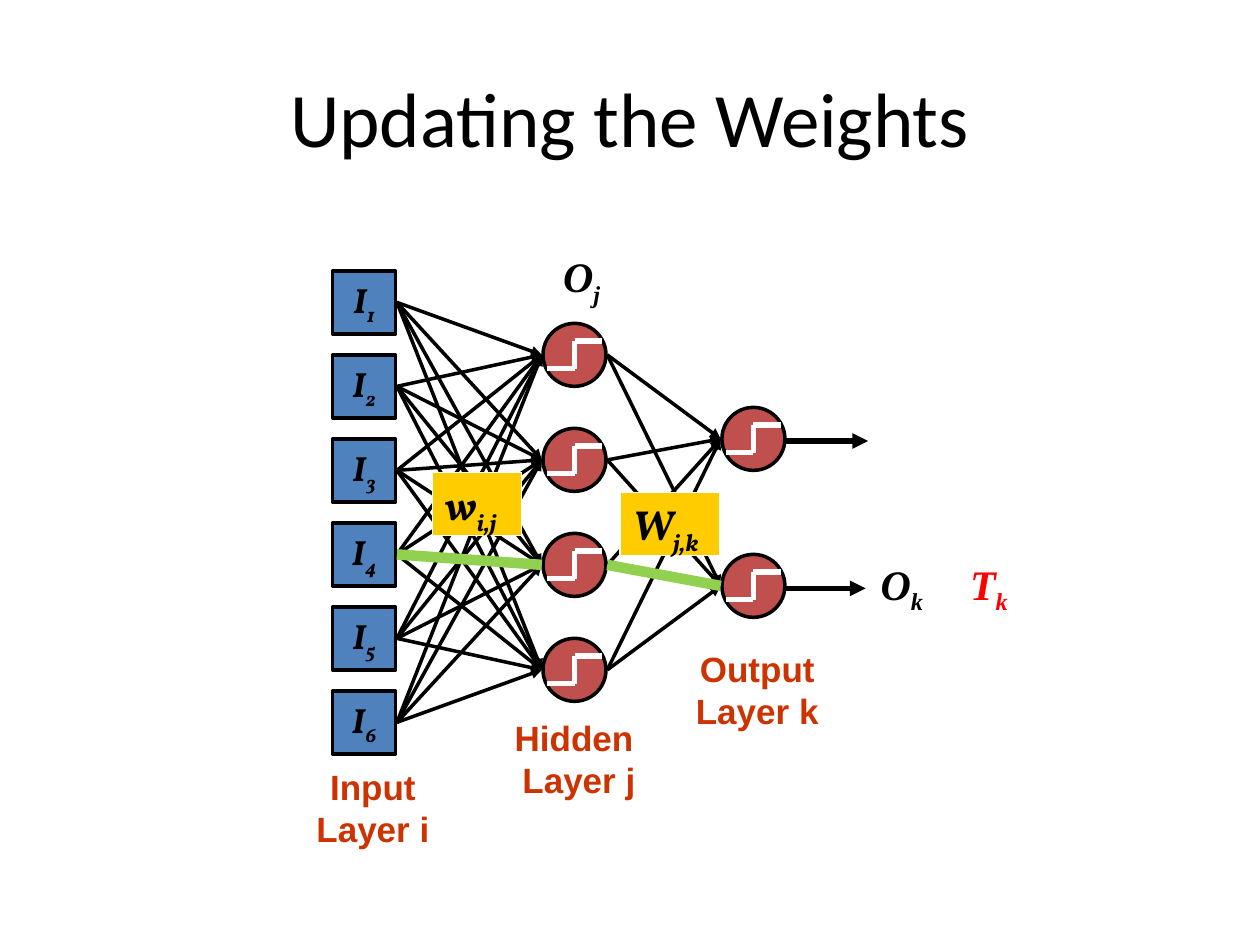
from dataclasses import dataclass
from itertools import product

from lxml import etree
from pptx import Presentation
from pptx.dml.color import RGBColor
from pptx.enum.shapes import MSO_CONNECTOR, MSO_SHAPE
from pptx.enum.text import MSO_ANCHOR, MSO_AUTO_SIZE, PP_ALIGN
from pptx.oxml.ns import qn
from pptx.util import Inches, Pt

STRAIGHT = MSO_CONNECTOR.STRAIGHT
RECTANGLE, OVAL = MSO_SHAPE.RECTANGLE, MSO_SHAPE.OVAL
CENTER, LEFT = PP_ALIGN.CENTER, PP_ALIGN.LEFT
MIDDLE, TOP = MSO_ANCHOR.MIDDLE, MSO_ANCHOR.TOP
GROW, FIXED = MSO_AUTO_SIZE.SHAPE_TO_FIT_TEXT, MSO_AUTO_SIZE.NONE


@dataclass(frozen=True)
class Theme:
    black: str = "000000"
    white: str = "FFFFFF"
    input_fill: str = "4F81BD"
    neuron_fill: str = "C0504D"
    weight_fill: str = "FFCC00"
    highlight: str = "92D050"
    caption: str = "CC3300"
    target: str = "FF0000"
    title_font: str = "Calibri"
    caption_font: str = "Arial"
    node_font: str = "Vollkorn"
    output_font: str = "Times New Roman"
    title_size: int = 44
    symbol_size: int = 24
    small_size: int = 20


@dataclass(frozen=True)
class Layer:
    """A column of nodes; first and step count grid rows."""
    center_x: float
    first: float
    step: float
    count: int

    def center_y(self, index: int) -> float:
        return GRID_TOP + (self.first + index * self.step) * ROW

    def centers(self) -> list[float]:
        return [self.center_y(index) for index in range(self.count)]


@dataclass(frozen=True)
class Box:
    left: float
    top: float
    width: float
    height: float

    def lengths(self) -> list[int]:
        return [Inches(n) for n in (self.left, self.top, self.width, self.height)]


@dataclass(frozen=True)
class Symbol:
    base: str
    subscript: str
    font: str
    size: int
    color: str = "000000"


THEME = Theme()
GRID_TOP, ROW = 2.4, 1 / 6
NODE = 0.5
GAP = 0.26  # from a node's center to the end of its links
INPUT = Layer(2.89, 0, 4, 6)
HIDDEN = Layer(4.56, 2.5, 5, 4)
OUTPUT = Layer(5.98, 6.5, 7, 2)


def rgb(color: str) -> RGBColor:
    return RGBColor.from_string(color)


def draw_line(shapes, start: tuple, end: tuple, color: str, width: float,
              arrow: bool = False) -> None:
    line = shapes.add_connector(STRAIGHT, *map(Inches, (*start, *end)))
    line.line.color.rgb = rgb(color)
    line.line.width = Pt(width)
    properties = line._element.spPr
    if arrow:
        etree.SubElement(properties.find(qn("a:ln")), qn("a:tailEnd"), type="triangle")
    etree.SubElement(properties, qn("a:effectLst"))


def draw_shape(shapes, kind, box: Box, fill: str, line: str, width: float):
    shape = shapes.add_shape(kind, *box.lengths())
    shape.shadow.inherit = False
    shape.fill.solid()
    shape.fill.fore_color.rgb = rgb(fill)
    shape.line.color.rgb = rgb(line)
    shape.line.width = Pt(width)
    return shape


def node_box(layer: Layer, center_y: float) -> Box:
    return Box(layer.center_x - NODE / 2, center_y - NODE / 2, NODE, NODE)


def write_symbol(shape, symbol: Symbol, align=LEFT, anchor=TOP, wrap=False,
                 fit=GROW) -> None:
    frame = shape.text_frame
    frame.word_wrap, frame.auto_size, frame.vertical_anchor = wrap, fit, anchor
    paragraph = frame.paragraphs[0]
    paragraph.alignment = align
    font = paragraph.font
    font.name, font.size = symbol.font, Pt(symbol.size)
    font.bold = font.italic = True
    font.color.rgb = rgb(symbol.color)
    paragraph.add_run().text = symbol.base
    subscript = paragraph.add_run()
    subscript.text = symbol.subscript
    subscript._r.get_or_add_rPr().set("baseline", "-25000")


def draw_neuron(slide, layer: Layer, center_y: float) -> None:
    group = slide.shapes.add_group_shape()
    draw_shape(group.shapes, OVAL, node_box(layer, center_y),
               THEME.neuron_fill, THEME.black, 2)
    # Step function
    x, low, high = layer.center_x, center_y + 0.11, center_y - 0.11
    points = [(x - 0.22, low), (x, low), (x, high), (x + 0.22, high)]
    for start, end in zip(points, points[1:]):
        draw_line(group.shapes, start, end, THEME.white, 3)


def draw_link(slide, source: Layer, start_y: float, target: Layer, end_y: float,
              color: str, width: float, arrow: bool) -> None:
    draw_line(slide.shapes, (source.center_x + GAP, start_y),
              (target.center_x - GAP, end_y), color, width, arrow)


def draw_caption(slide, box: Box, lines: tuple[str, str]) -> None:
    frame = slide.shapes.add_textbox(*box.lengths()).text_frame
    frame.word_wrap, frame.auto_size = False, GROW
    for index, text in enumerate(lines):
        paragraph = frame.add_paragraph() if index else frame.paragraphs[0]
        paragraph.text, paragraph.alignment = text, CENTER
        font = paragraph.font
        font.name, font.size, font.bold = THEME.caption_font, Pt(THEME.small_size), True
        font.color.rgb = rgb(THEME.caption)


def draw_title(slide, text: str) -> None:
    title = slide.shapes.title
    title.left, title.top, title.width, title.height = Box(0.5, 0.3, 9, 1.25).lengths()
    title.text_frame.vertical_anchor = MIDDLE
    paragraph = title.text_frame.paragraphs[0]
    paragraph.text, paragraph.alignment = text, CENTER
    paragraph.font.name, paragraph.font.size = THEME.title_font, Pt(THEME.title_size)
    paragraph.font.color.rgb = rgb(THEME.black)


def main() -> None:
    presentation = Presentation()
    presentation.slide_width, presentation.slide_height = Inches(10), Inches(7.5)
    slide = presentation.slides.add_slide(presentation.slide_layouts[5])
    draw_title(slide, "Updating the Weights")

    # Nodes
    for number, center_y in enumerate(INPUT.centers(), 1):
        square = draw_shape(slide.shapes, RECTANGLE, node_box(INPUT, center_y),
                            THEME.input_fill, THEME.black, 2)
        write_symbol(square, Symbol("I", str(number), THEME.node_font, THEME.small_size),
                     CENTER, MIDDLE, fit=FIXED)
    for layer in (HIDDEN, OUTPUT):
        for center_y in layer.centers():
            draw_neuron(slide, layer, center_y)

    # Full connections, then the highlighted route through them
    for source, target in ((INPUT, HIDDEN), (HIDDEN, OUTPUT)):
        for start_y, end_y in product(source.centers(), target.centers()):
            draw_link(slide, source, start_y, target, end_y, THEME.black, 2, True)
    route = ((INPUT, 3), (HIDDEN, 2), (OUTPUT, 1))
    for (source, start), (target, end) in zip(route, route[1:]):
        draw_link(slide, source, source.center_y(start), target, target.center_y(end),
                  THEME.highlight, 6, False)

    # Network outputs
    for left, y in ((6.24, 3.5), (6.22, 4.67)):
        draw_line(slide.shapes, (left, y), (left + 0.65, y), THEME.black, 3, True)

    # Weights
    for box, base, subscript in ((Box(3.43, 3.75, 0.71, 0.5), "w", "i,j"),
                                 (Box(4.92, 3.91, 0.79, 0.5), "W", "j,k")):
        weight = draw_shape(slide.shapes, RECTANGLE, box, THEME.weight_fill, THEME.white, 0.75)
        write_symbol(weight, Symbol(base, subscript, THEME.node_font, THEME.symbol_size),
                     wrap=True)

    # Output and target symbols
    for box, base, subscript, color in (
            (Box(4.37, 1.94, 0.51, 0.5), "O", "j", THEME.black),
            (Box(6.89, 4.38, 0.56, 0.51), "O", "k", THEME.black),
            (Box(7.6, 4.38, 0.52, 0.51), "T", "k", THEME.target)):
        write_symbol(slide.shapes.add_textbox(*box.lengths()),
                     Symbol(base, subscript, THEME.output_font, THEME.symbol_size, color))

    # Layer captions
    draw_caption(slide, Box(2.41, 6.03, 1.1, 0.77), ("Input", "Layer i"))
    draw_caption(slide, Box(3.98, 5.64, 1.23, 0.77), ("Hidden ", "Layer j"))
    draw_caption(slide, Box(5.42, 5.09, 1.18, 0.77), ("Output", "Layer k"))

    presentation.save("out.pptx")


if __name__ == "__main__":
    main()
